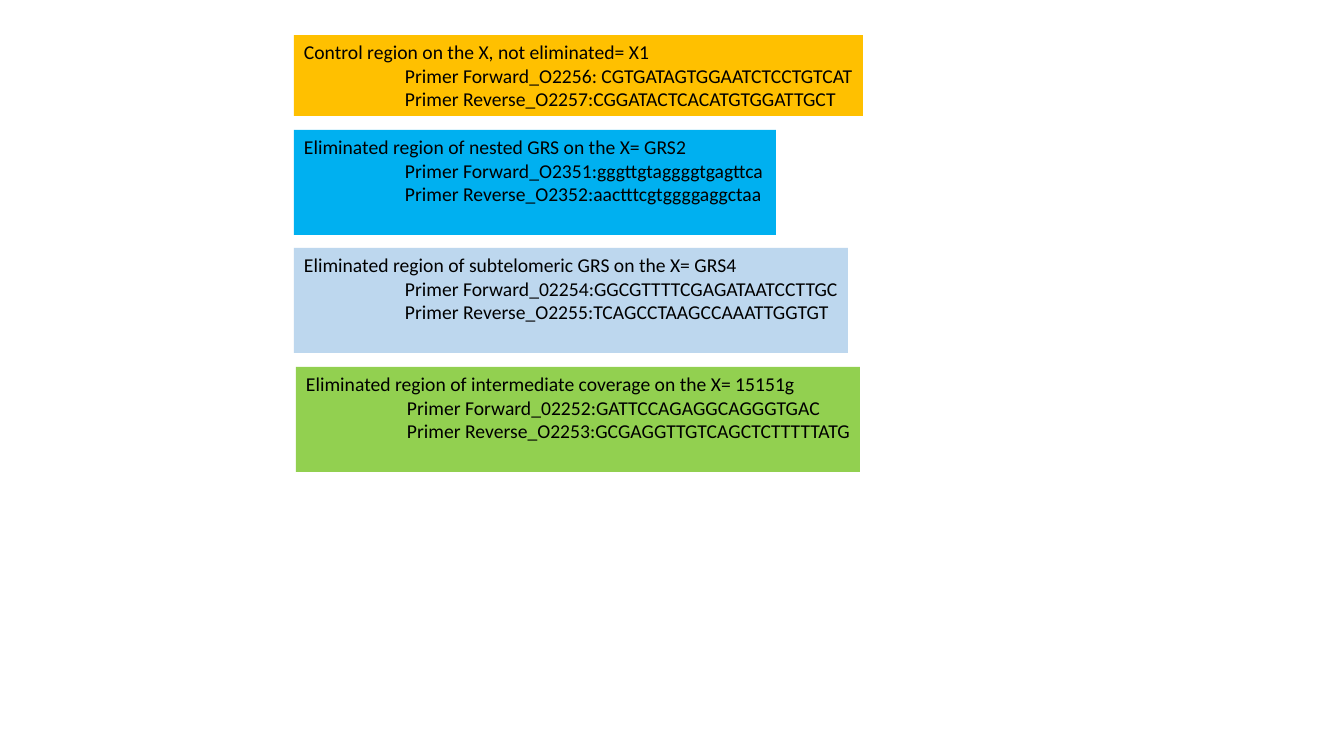
import pptx
import pptx.util
import pptx.dml.color
import pptx.enum.shapes
import pptx.enum.text

PX = 914400 / 100.8
SLIDE_SIZE = (1344, 756)
PRIMER_INDENT = 101
SIDE_INSET, TOP_INSET = 10, 5

REGIONS = [
    ((294, 35, 569, 81), "FFC000", "Control region on the X, not eliminated= X1",
     ["Primer Forward_O2256: CGTGATAGTGGAATCTCCTGTCAT",
      "Primer Reverse_O2257:CGGATACTCACATGTGGATTGCT"]),
    ((294, 130, 482, 105), "00B0F0", "Eliminated region of nested GRS on the X= GRS2",
     ["Primer Forward_O2351:gggttgtaggggtgagttca",
      "Primer Reverse_O2352:aactttcgtggggaggctaa"]),
    ((294, 248, 554, 105), "BDD7EE", "Eliminated region of subtelomeric GRS on the X= GRS4",
     ["Primer Forward_02254:GGCGTTTTCGAGATAATCCTTGC",
      "Primer Reverse_O2255:TCAGCCTAAGCCAAATTGGTGT"]),
    ((296, 367, 564, 105), "92D050", "Eliminated region of intermediate coverage on the X= 15151g",
     ["Primer Forward_02252:GATTCCAGAGGCAGGGTGAC",
      "Primer Reverse_O2253:GCGAGGTTGTCAGCTCTTTTTATG"]),
]


def emu(pixels):
    return pptx.util.Emu(round(pixels * PX))


def color(hex_string):
    return pptx.dml.color.RGBColor.from_string(hex_string)


def write(para, text, size=14, font="Calibri", ink="000000", indent=0):
    para.alignment = pptx.enum.text.PP_ALIGN.LEFT
    if indent:
        properties = para._p.get_or_add_pPr()
        properties.set("marL", str(emu(indent)))
        properties.set("indent", "0")
    span = para.add_run()
    span.text = text
    span.font.size = pptx.util.Pt(size)
    span.font.name = font
    span.font.color.rgb = color(ink)


def add_region(page, place, fill, title, primers):
    box = page.shapes.add_shape(
        pptx.enum.shapes.MSO_SHAPE.RECTANGLE, *[emu(length) for length in place])
    box.shadow.inherit = False
    box.fill.solid()
    box.fill.fore_color.rgb = color(fill)
    box.line.fill.background()
    frame = box.text_frame
    frame.word_wrap = True
    frame.vertical_anchor = pptx.enum.text.MSO_ANCHOR.TOP
    frame.margin_left = emu(SIDE_INSET)
    frame.margin_right = 0
    frame.margin_top = frame.margin_bottom = emu(TOP_INSET)
    write(frame.paragraphs[0], title)
    for primer in primers:
        write(frame.add_paragraph(), primer, indent=PRIMER_INDENT)


def main():
    deck = pptx.Presentation()
    deck.slide_width, deck.slide_height = [emu(length) for length in SLIDE_SIZE]
    page = deck.slides.add_slide(deck.slide_layouts[6])
    for region in REGIONS:
        add_region(page, *region)
    deck.save("out.pptx")


if __name__ == "__main__":
    main()
